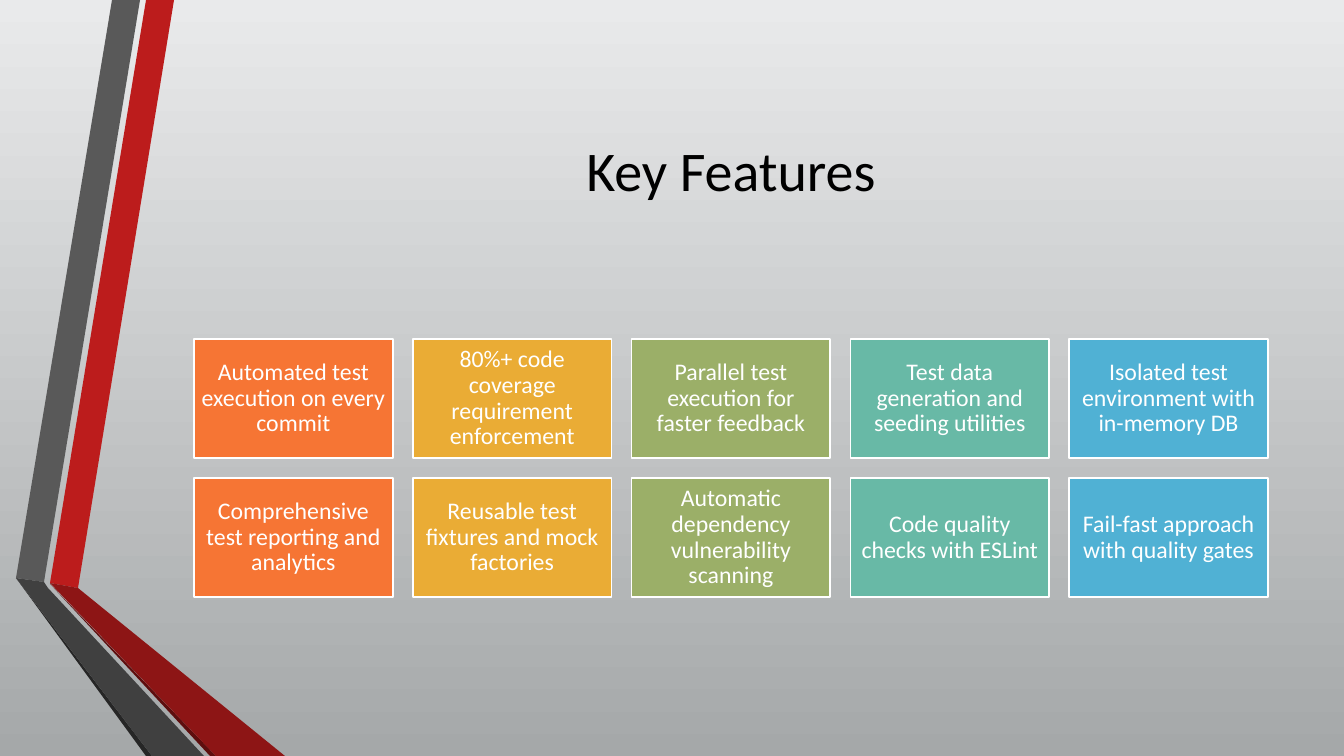
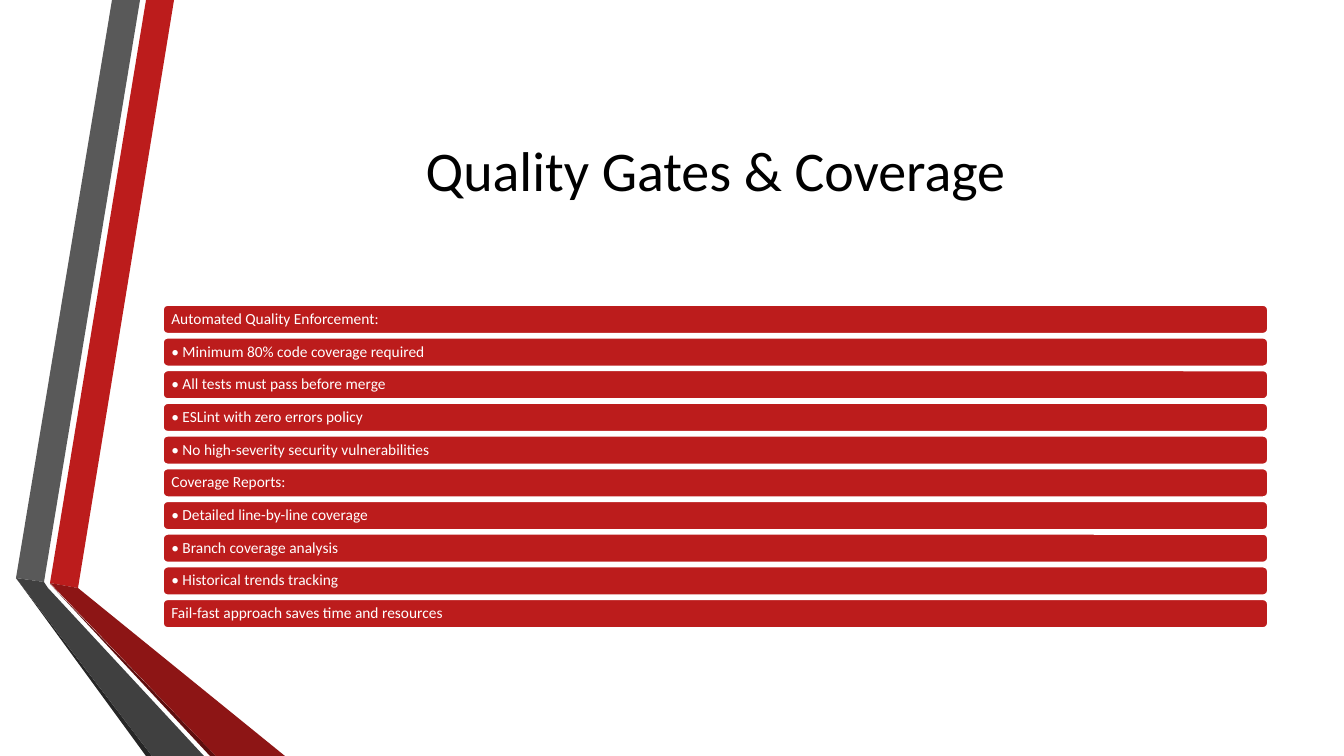
from dataclasses import dataclass
from typing import Iterator, NamedTuple, Optional

from pptx import Presentation
from pptx.dml.color import RGBColor
from pptx.enum.shapes import MSO_SHAPE
from pptx.enum.text import MSO_ANCHOR, PP_ALIGN
from pptx.util import Emu, Pt

RECT = MSO_SHAPE.RECTANGLE
ROUNDED = MSO_SHAPE.ROUNDED_RECTANGLE
MIDDLE = MSO_ANCHOR.MIDDLE
CENTER = PP_ALIGN.CENTER
LEFT = PP_ALIGN.LEFT

EMU_PER_PX = 914400 / 100.8
SLIDE_W, SLIDE_H = 1344, 756
BLANK_LAYOUT = 6


@dataclass(frozen=True)
class Theme:
    font: str = "Calibri"
    title_size: int = 40
    tile_size: int = 17
    bar_size: int = 11
    outline: float = 1.25
    line_spacing: float = 0.9
    black: str = "000000"
    white: str = "FFFFFF"
    red: str = "BC1C1C"
    red_lower: str = "8D1515"
    red_edge: str = "5E0E0E"
    grey: str = "595959"
    grey_lower: str = "404040"
    grey_edge: str = "262626"
    backdrop: tuple[str, str] = ("E9EAEB", "A5A8A9")
    tiles: tuple[str, ...] = ("F67534", "EAAC35", "9BAF68", "68B9A6", "50B1D4")


THEME = Theme()


class Box(NamedTuple):
    left: float
    top: float
    width: float
    height: float


class Ribbon(NamedTuple):
    color: str
    outline: tuple[tuple[int, int], ...]


class PanelStyle(NamedTuple):
    preset: int
    size: int
    align: int
    inset_x: int
    inset_y: int


RIBBONS = (
    Ribbon(THEME.red, ((50, 583), (78, 588), (174, 0), (146, 0))),
    Ribbon(THEME.grey, ((140, 0), (112, 0), (16, 578), (44, 582))),
    Ribbon(THEME.grey_edge, ((16, 578), (146, 756), (152, 756))),
    Ribbon(THEME.red_edge, ((50, 584), (210, 756), (216, 756))),
    Ribbon(THEME.red_lower, ((50, 583), (216, 756), (285, 756), (78, 588))),
    Ribbon(THEME.grey_lower, ((204, 756), (48, 588), (44, 582), (16, 578), (152, 756))),
)

TILE = PanelStyle(RECT, THEME.tile_size, CENTER, 7, 7)
BAR = PanelStyle(ROUNDED, THEME.bar_size, LEFT, 7, 0)

FEATURES = (
    "Automated test execution on every commit",
    "80%+ code coverage requirement enforcement",
    "Parallel test execution for faster feedback",
    "Test data generation and seeding utilities",
    "Isolated test environment with in-memory DB",
    "Comprehensive test reporting and analytics",
    "Reusable test fixtures and mock factories",
    "Automatic dependency vulnerability scanning",
    "Code quality checks with ESLint",
    "Fail-fast approach with quality gates",
)

QUALITY_GATES = (
    "Automated Quality Enforcement:",
    "• Minimum 80% code coverage required",
    "• All tests must pass before merge",
    "• ESLint with zero errors policy",
    "• No high-severity security vulnerabilities",
    "Coverage Reports:",
    "• Detailed line-by-line coverage",
    "• Branch coverage analysis",
    "• Historical trends tracking",
    "Fail-fast approach saves time and resources",
)


def px(length: float) -> Emu:
    return Emu(round(length * EMU_PER_PX))


def rgb(color: str) -> RGBColor:
    return RGBColor.from_string(color)


def place(box: Box) -> tuple[Emu, ...]:
    return tuple(px(length) for length in box)


def grid(area: Box, columns: int, rows: int, gap: int) -> Iterator[Box]:
    """Yield equal cells that fill the area, row by row."""
    width = (area.width - gap * (columns - 1)) / columns
    height = (area.height - gap * (rows - 1)) / rows
    for row in range(rows):
        for column in range(columns):
            yield Box(area.left + column * (width + gap),
                      area.top + row * (height + gap), width, height)


def write(frame, text: str, size: int, color: str, align: int) -> None:
    frame.word_wrap = True
    frame.vertical_anchor = MIDDLE
    frame.text = text
    paragraph = frame.paragraphs[0]
    paragraph.alignment = align
    paragraph.line_spacing = THEME.line_spacing
    font = paragraph.runs[0].font
    font.name, font.size = THEME.font, Pt(size)
    font.color.rgb = rgb(color)


def paint(shape, fill: str, outline: Optional[str] = None) -> None:
    shape.shadow.inherit = False
    shape.fill.solid()
    shape.fill.fore_color.rgb = rgb(fill)
    if outline is None:
        shape.line.fill.background()
    else:
        shape.line.color.rgb = rgb(outline)
        shape.line.width = Pt(THEME.outline)


def draw_ribbon(slide, ribbon: Ribbon) -> None:
    start, *corners = ribbon.outline
    builder = slide.shapes.build_freeform(*start, scale=EMU_PER_PX)
    builder.add_line_segments(corners, close=True)
    paint(builder.convert_to_shape(), ribbon.color)


def draw_panel(slide, box: Box, text: str, fill: str, style: PanelStyle) -> None:
    panel = slide.shapes.add_shape(style.preset, *place(box))
    paint(panel, fill, THEME.white)
    frame = panel.text_frame
    frame.margin_left = frame.margin_right = px(style.inset_x)
    frame.margin_top = frame.margin_bottom = px(style.inset_y)
    write(frame, text, style.size, THEME.white, style.align)


def add_titled_slide(deck, title: str, title_box: Box):
    slide = deck.slides.add_slide(deck.slide_layouts[BLANK_LAYOUT])
    for ribbon in RIBBONS:
        draw_ribbon(slide, ribbon)
    heading = slide.shapes.add_textbox(*place(title_box))
    write(heading.text_frame, title, THEME.title_size, THEME.black, CENTER)
    return slide


def add_features_slide(deck) -> None:
    slide = add_titled_slide(deck, "Key Features", Box(194, 76, 1074, 194))
    backdrop = slide.background.fill
    backdrop.gradient()
    backdrop.gradient_angle = 270
    for stop, color in zip(backdrop.gradient_stops, THEME.backdrop):
        stop.color.rgb = rgb(color)

    columns = len(THEME.tiles)
    cells = grid(Box(194, 339, 1074, 258), columns, rows=2, gap=20)
    for index, (cell, feature) in enumerate(zip(cells, FEATURES)):
        draw_panel(slide, cell, feature, THEME.tiles[index % columns], TILE)


def add_quality_slide(deck) -> None:
    slide = add_titled_slide(deck, "Quality Gates & Coverage", Box(163, 76, 1105, 194))
    slide.background.fill.solid()
    slide.background.fill.fore_color.rgb = rgb(THEME.white)
    cells = grid(Box(163, 305, 1105, 323), columns=1, rows=len(QUALITY_GATES), gap=4)
    for cell, gate in zip(cells, QUALITY_GATES):
        draw_panel(slide, cell, gate, THEME.red, BAR)


def main() -> None:
    deck = Presentation()
    deck.slide_width, deck.slide_height = px(SLIDE_W), px(SLIDE_H)
    add_features_slide(deck)
    add_quality_slide(deck)
    deck.save("out.pptx")


if __name__ == "__main__":
    main()
